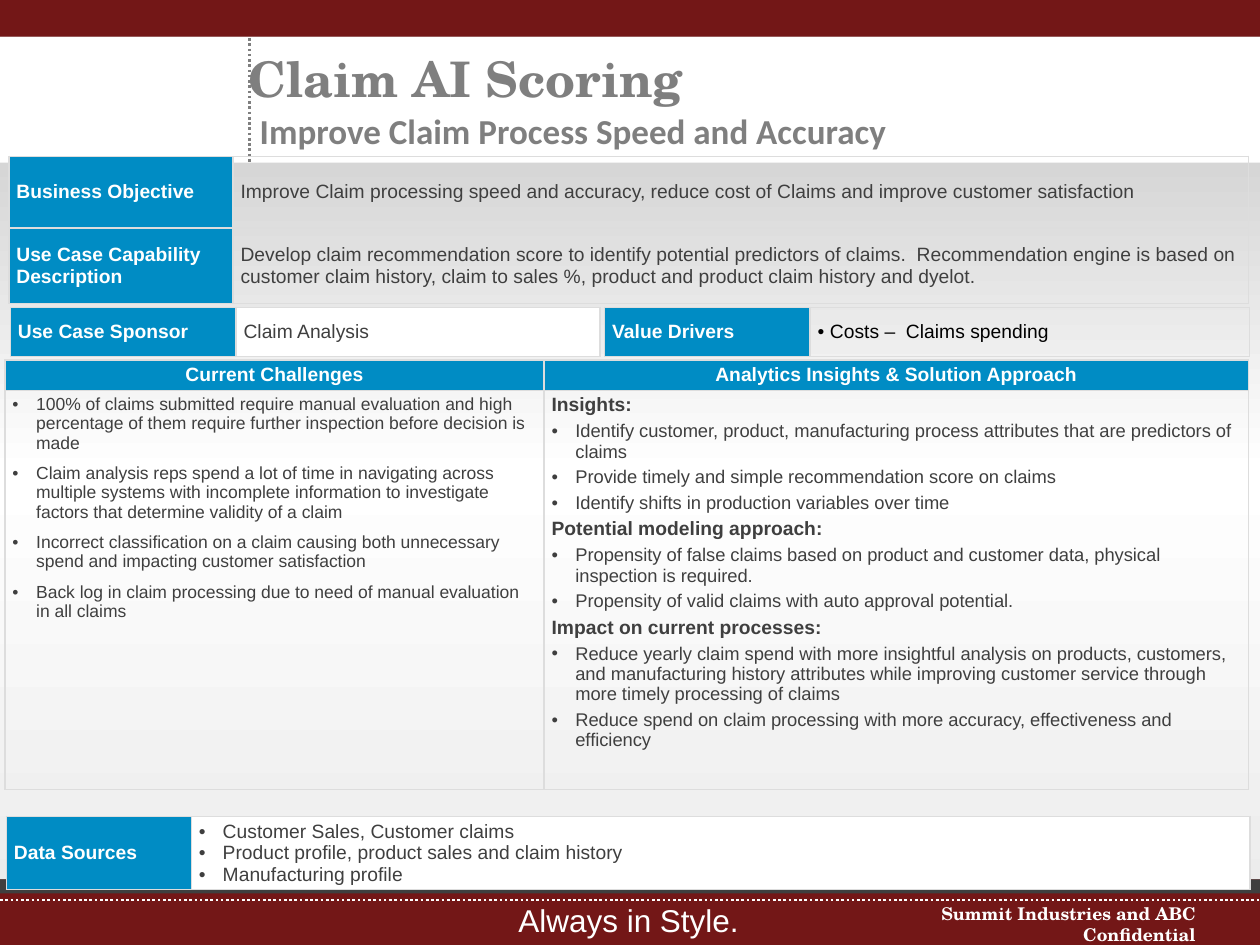
from dataclasses import dataclass

from lxml import etree
from pptx import Presentation
from pptx import util as u
from pptx.dml.color import RGBColor
from pptx.enum import dml, shapes, text
from pptx.oxml import parse_xml
from pptx.oxml.ns import nsdecls, qn


@dataclass(frozen=True)
class Theme:
    maroon: str = "731717"
    blue: str = "008CC4"
    charcoal: str = "3F3F3F"
    grey: str = "7F7F7F"
    border: str = "DDDDDD"
    white: str = "FFFFFF"
    black: str = "000000"
    background: tuple = ((0, "BFBFBF"), (50, "FFFFFF"), (100, "EAEAEA"))
    body_font: str = "Arial"
    serif_font: str = "TeX Gyre Schola"
    subtitle_font: str = "Calibri"
    title: float = 28
    title_gap: float = 24
    subtitle: float = 20
    slogan: float = 18
    body: float = 11
    insight: float = 10.5
    small: float = 10


THEME = Theme()


@dataclass(frozen=True)
class Box:
    """A region of the slide, in centimetres."""
    left: float
    top: float
    width: float
    height: float = 0

    def inner(self, left, top, width, height):
        return Box(self.left + left, self.top + top, width, height)

    def lengths(self):
        return [u.Cm(v) for v in (self.left, self.top, self.width, self.height)]


@dataclass(frozen=True)
class Line:
    """One paragraph of a table cell."""
    text: str
    size: float = THEME.body
    bold: bool = False
    color: str = THEME.charcoal
    indent: float = 0
    before: float = 0
    centered: bool = False


def label(words, centered=False):
    return Line(words, bold=True, color=THEME.white, centered=centered)


def bullet(words, size=THEME.body, before=0):
    return Line(words, size, indent=0.48, before=before)


def format_run(run, size, color, font=THEME.body_font, bold=False):
    run.font.size, run.font.name, run.font.bold = u.Pt(size), font, bold
    run.font.color.rgb = RGBColor.from_string(color)


def add_band(slide, box, color):
    shape = slide.shapes.add_shape(shapes.MSO_SHAPE.RECTANGLE, *box.lengths())
    shape.shadow.inherit = False
    shape.fill.solid()
    shape.fill.fore_color.rgb = RGBColor.from_string(color)
    shape.line.fill.background()


def add_dotted_line(slide, box, color):
    left, top, width, height = box.lengths()
    line = slide.shapes.add_connector(
        shapes.MSO_CONNECTOR.STRAIGHT, left, top, left + width, top + height)
    line.line.width = u.Pt(1.5)
    line.line.dash_style = dml.MSO_LINE.ROUND_DOT
    line.line.color.rgb = RGBColor.from_string(color)
    etree.SubElement(line._element.spPr, qn("a:effectLst"))


def add_text(slide, box, words, size, font, bold=False, align=None, wrap=True):
    frame = slide.shapes.add_textbox(*box.lengths()).text_frame
    frame.word_wrap = wrap
    frame.text = words
    frame.paragraphs[0].alignment = align
    format_run(frame.paragraphs[0].runs[0], size, THEME.white, font, bold)


def set_background(slide):
    stops = "".join(f'<a:gs pos="{position * 1000}"><a:srgbClr val="{color}"/></a:gs>'
                    for position, color in THEME.background)
    slide._element.cSld.insert(0, parse_xml(
        f'<p:bg {nsdecls("p", "a")}><p:bgPr><a:gradFill><a:gsLst>{stops}</a:gsLst>'
        '<a:lin ang="5400000" scaled="0"/></a:gradFill><a:effectLst/></p:bgPr></p:bg>'))


def add_header(slide, box):
    bar = 0.74
    add_band(slide, box.inner(0, bar, box.width, box.height - bar), THEME.white)
    add_dotted_line(slide, box.inner(5.03, 0.66, 0, box.height - 0.66), THEME.grey)
    add_band(slide, box.inner(0, 0, box.width, bar), THEME.maroon)

    # Title and subtitle, brought in front of the bands
    title = slide.shapes.title
    slide.shapes._spTree.append(title._element)
    title.left, title.top, title.width, title.height = box.inner(5, 0.91, 19.25, 2.18).lengths()
    frame = title.text_frame
    frame.margin_left = frame.margin_right = frame.margin_top = frame.margin_bottom = 0
    frame.word_wrap = True
    frame.auto_size = text.MSO_AUTO_SIZE.NONE
    frame.vertical_anchor = text.MSO_ANCHOR.BOTTOM
    frame.text = "Claim AI Scoring\v "
    paragraph = frame.paragraphs[0]
    paragraph.add_run().text = "Improve Claim Process Speed and Accuracy"
    paragraph.alignment = text.PP_ALIGN.LEFT
    paragraph.line_spacing = u.Pt(26)
    heading, gap, subtitle = paragraph.runs
    format_run(heading, THEME.title, THEME.grey, THEME.serif_font, True)
    format_run(gap, THEME.title_gap, THEME.grey, THEME.serif_font)
    format_run(subtitle, THEME.subtitle, THEME.grey, THEME.subtitle_font, True)


def add_footer(slide, box):
    add_band(slide, box, THEME.maroon)
    add_dotted_line(slide, box.inner(0, 0.41, box.width, 0), THEME.white)
    add_band(slide, box.inner(0, 0, box.width, 0.28), THEME.charcoal)
    add_text(slide, box.inner(10.2, 0.3, 5, 1.02), "Always in Style.",
             THEME.slogan, THEME.body_font, wrap=False)
    add_text(slide, box.inner(17.9, 0.35, 6.45, 0.81), "Summit Industries and ABC Confidential",
             THEME.small, THEME.serif_font, True, text.PP_ALIGN.RIGHT)


def add_borders(cell):
    properties = cell._tc.get_or_add_tcPr()
    for index, side in enumerate("LRTB"):
        properties.insert(index, parse_xml(
            f'<a:ln{side} {nsdecls("a")} w="12700"><a:solidFill>'
            f'<a:srgbClr val="{THEME.border}"/></a:solidFill></a:ln{side}>'))


def fill_cell(cell, lines, fill, anchor):
    cell.margin_left = cell.margin_right = u.Cm(0.15)
    cell.margin_top = cell.margin_bottom = u.Cm(0.08)
    cell.vertical_anchor = anchor
    if fill:
        cell.fill.solid()
        cell.fill.fore_color.rgb = RGBColor.from_string(fill)
    else:
        cell.fill.background()
    add_borders(cell)
    cell.text_frame.text = "\n".join(line.text for line in lines)
    for paragraph, line in zip(cell.text_frame.paragraphs, lines):
        format_run(paragraph.runs[0], line.size, line.color, bold=line.bold)
        paragraph.space_before = u.Pt(line.before)
        paragraph.alignment = text.PP_ALIGN.CENTER if line.centered else text.PP_ALIGN.LEFT
        if line.indent:
            properties = paragraph._p.get_or_add_pPr()
            properties.set("marL", str(u.Cm(line.indent)))
            properties.set("indent", str(-u.Cm(line.indent)))
            etree.SubElement(properties, qn("a:buFont"), typeface=THEME.body_font)
            etree.SubElement(properties, qn("a:buChar"), char="•")


def add_grid(slide, box, first_column, heights, rows, body_fill=None, body_top=False):
    """Add a two-column table; cells that hold a white label are blue."""
    table = slide.shapes.add_table(len(rows), 2, *box.lengths()).table
    table.first_row = table.horz_banding = False
    table.columns[0].width = u.Cm(first_column)
    table.columns[1].width = u.Cm(box.width - first_column)
    for r, (height, row) in enumerate(zip(heights, rows)):
        table.rows[r].height = u.Cm(height)
        for c, lines in enumerate(row):
            is_label = lines[0].color == THEME.white
            anchor = text.MSO_ANCHOR.TOP if body_top and not is_label else text.MSO_ANCHOR.MIDDLE
            fill_cell(table.cell(r, c), lines, THEME.blue if is_label else body_fill, anchor)


def add_challenges(slide, box):
    challenges = [bullet(words, THEME.small, 6) for words in (
        "100% of claims submitted require manual evaluation and high percentage of them require further inspection before decision is made",
        "Claim analysis reps spend a lot of time in navigating across multiple systems with incomplete information to investigate factors that determine validity of a claim",
        "Incorrect classification on a claim causing both unnecessary spend and impacting customer satisfaction",
        "Back log in claim processing due to need of manual evaluation in all claims")]
    sections = {
        "Insights:": (
            "Identify customer, product, manufacturing process attributes that are predictors of claims",
            "Provide timely and simple recommendation score on claims",
            "Identify shifts in production variables over time"),
        "Potential modeling approach:": (
            "Propensity of false claims based on product and customer data, physical inspection is required.",
            "Propensity of valid claims with auto approval potential."),
        "Impact on current processes:": (
            "Reduce yearly claim spend with more insightful analysis on products, customers, and manufacturing history attributes while improving customer service through more timely processing of claims",
            "Reduce spend on claim processing with more accuracy, effectiveness and efficiency")}
    approach = []
    for heading, points in sections.items():
        approach.append(Line(heading, bold=True, before=3))
        approach += [bullet(point, THEME.insight, 3) for point in points]
    headings = ([label("Current Challenges", True)],
                [label("Analytics Insights & Solution Approach", True)])
    add_grid(slide, box, 10.87, (0.61, box.height - 0.61),
             (headings, (challenges, approach)), body_top=True)


def add_summary(slide, box):
    # Objective and description
    add_grid(slide, box.inner(0, 0, 24.99, 2.97), 4.52, (1.45, 1.52), (
        ([label("Business Objective")],
         [Line("Improve Claim processing speed and accuracy, reduce cost of Claims and improve customer satisfaction")]),
        ([label("Use Case Capability Description")],
         [Line("Develop claim recommendation score to identify potential predictors of claims.  Recommendation engine is based on customer claim history, claim to sales %, product and product claim history and dyelot.")])))
    # Value drivers and sponsor
    add_grid(slide, box.inner(12.01, 3.05, 13, 0.99), 4.14, (0.99,), ((
        [label("Value Drivers")],
        [Line("Costs –  Claims spending", color=THEME.black, indent=0.25)]),))
    add_grid(slide, box.inner(0.03, 3.05, 11.89, 0.99), 4.55, (0.99,), ((
        [label("Use Case Sponsor")], [Line("Claim Analysis")]),), THEME.white)


def add_sources(slide, box):
    sources = ("Customer Sales, Customer claims",
               "Product profile, product sales and claim history",
               "Manufacturing profile")
    add_grid(slide, box, 3.73, (box.height,),
             (([label("Data Sources")], [bullet(source) for source in sources]),), THEME.white)


def main():
    presentation = Presentation()
    presentation.slide_width, presentation.slide_height = u.Cm(25.4), u.Cm(19.05)
    slide = presentation.slides.add_slide(presentation.slide_layouts.get_by_name("Title Only"))
    set_background(slide)
    add_footer(slide, Box(0, 17.73, 25.4, 1.32))
    add_header(slide, Box(0, 0, 25.4, 3.28))
    add_challenges(slide, Box(0.1, 7.26, 25.07, 8.66))
    add_summary(slide, Box(0.18, 3.15, 25.01, 4.04))
    add_sources(slide, Box(0.13, 16.46, 25.07, 1.47))
    presentation.save("out.pptx")


if __name__ == "__main__":
    main()
